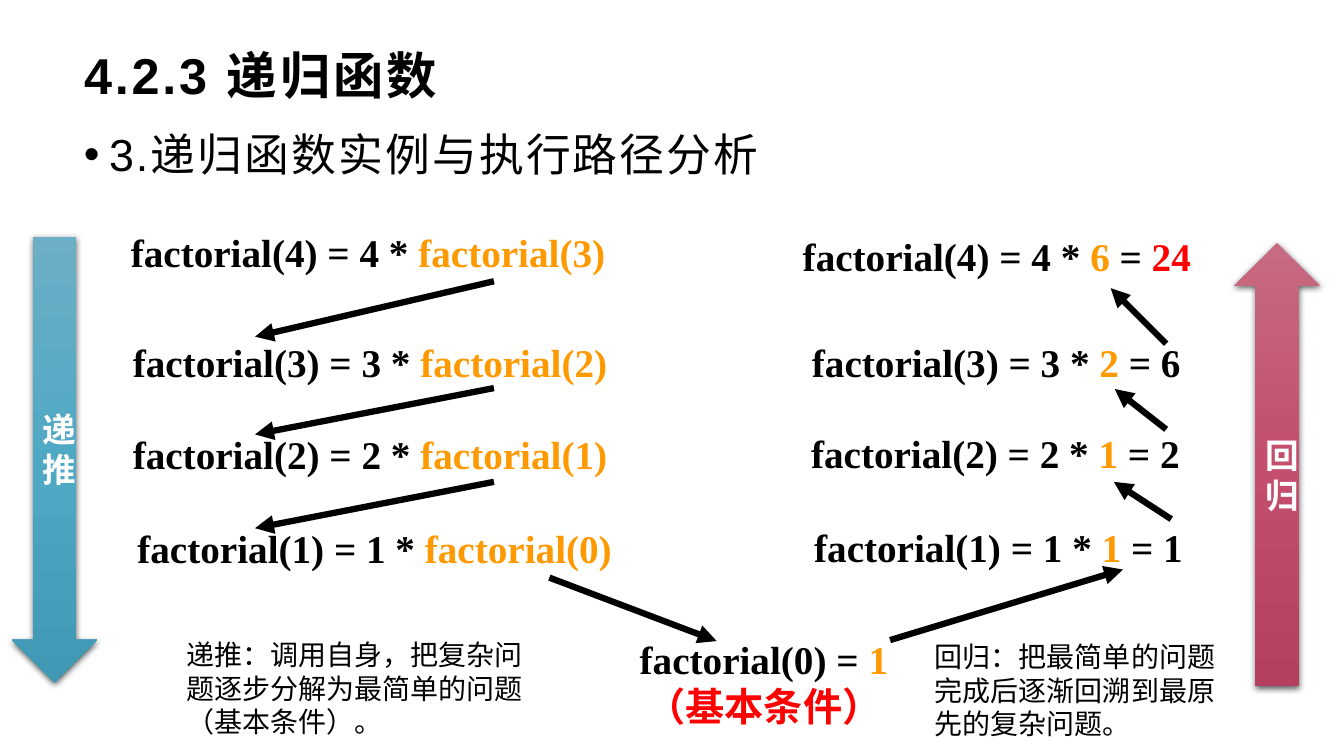
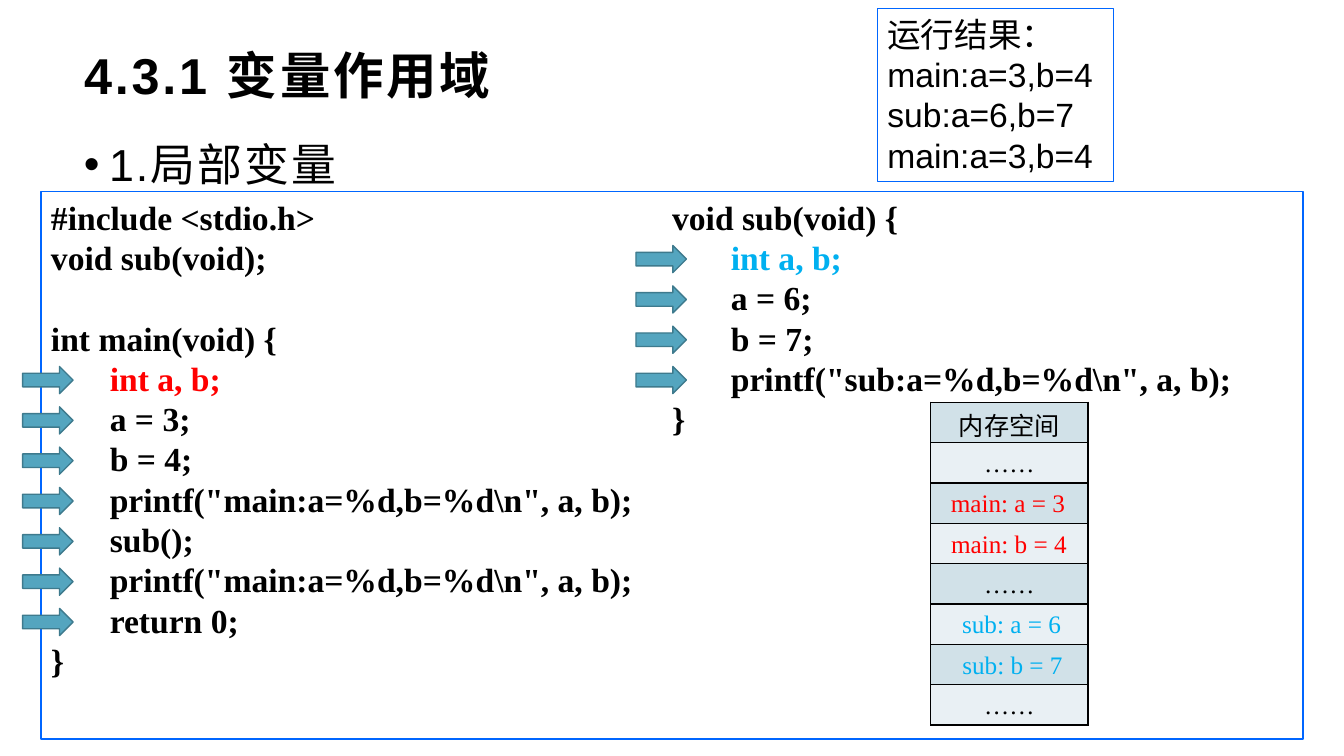
from copy import deepcopy

from pptx import Presentation
from pptx.dml.color import RGBColor
from pptx.enum.lang import MSO_LANGUAGE_ID
from pptx.enum.shapes import MSO_CONNECTOR, MSO_SHAPE
from pptx.enum.text import MSO_ANCHOR, MSO_AUTO_SIZE, PP_ALIGN
from pptx.oxml.ns import qn
from pptx.oxml.xmlchemy import OxmlElement
from pptx.util import Pt

BLACK = RGBColor(0x00, 0x00, 0x00)
WHITE = RGBColor(0xFF, 0xFF, 0xFF)
RED = RGBColor(0xFF, 0x00, 0x00)
ORANGE = RGBColor(0xFF, 0x99, 0x00)
CYAN = RGBColor(0x00, 0xB0, 0xF0)
FRAME_BLUE = RGBColor(0x00, 0x66, 0xFF)
MARKER_FILL = RGBColor(0x54, 0xA5, 0xBF)
MARKER_LINE = RGBColor(0x3E, 0x7A, 0x8D)
BAND_FILLS = (RGBColor(0xD1, 0xE1, 0xE8), RGBColor(0xE9, 0xF0, 0xF4))
TEALS = (RGBColor(0x6C, 0xAF, 0xC6), RGBColor(0x4F, 0xA8, 0xC4), RGBColor(0x40, 0x98, 0xB4))
ROSES = (RGBColor(0xC6, 0x6B, 0x81), RGBColor(0xC3, 0x4E, 0x6E), RGBColor(0xB4, 0x3F, 0x5F))

SERIF, SANS = "Times New Roman", "Arial"
LINE_FACTOR = 1.2

# Slide 1: (centre x, top, coloured pieces of the equation)
EQUATIONS = [
    (262.9, 159.1, [("factorial(4) = 4 * ", BLACK), ("factorial(3)", ORANGE)]),
    (264.3, 238.1, [("factorial(3) = 3 * ", BLACK), ("factorial(2)", ORANGE)]),
    (264.3, 303.6, [("factorial(2) = 2 * ", BLACK), ("factorial(1)", ORANGE)]),
    (267.6, 370.8, [("factorial(1) = 1 * ", BLACK), ("factorial(0)", ORANGE)]),
    (713.2, 370.1, [("factorial(1) = 1 * ", BLACK), ("1", ORANGE), (" = 1", BLACK)]),
    (711, 302.9, [("factorial(2) = 2 * ", BLACK), ("1", ORANGE), (" = 2", BLACK)]),
    (711.6, 238.3, [("factorial(3) = 3 * ", BLACK), ("2", ORANGE), (" = 6", BLACK)]),
    (712, 162.2, [("factorial(4) = 4 * ", BLACK), ("6", ORANGE), (" = ", BLACK), ("24", RED)]),
]
BASE_CASE = [[("factorial(0) = ", BLACK), ("1", ORANGE)], [("（基本条件）", RED)]]
CALL_ARROWS = [  # (from x, from y, to x, to y)
    (352.8, 200.9, 182.2, 240.5),
    (352.8, 277.2, 182.2, 310.3),
    (352.8, 344.2, 182.2, 377.3),
    (392.4, 412.6, 511.9, 457.9),
    (635.8, 457.2, 802.1, 406.8),
    (836.6, 370.8, 795.6, 344.2),
    (833, 306.7, 796.3, 277.9),
    (833, 245.5, 793.4, 205.9),
]
PHASE_ARROWS = [
    ("递推", MSO_SHAPE.DOWN_ARROW, TEALS, (8.3, 169.4, 61.2, 318.2)),
    ("回归", MSO_SHAPE.UP_ARROW, ROSES, (881.5, 173.5, 61.2, 316.8)),
]
PHASE_NOTES = [
    ("递推：调用自身，把复杂问题逐步分解为最简单的问题（基本条件）。", (126, 451.8, 266.4, 80)),
    ("回归：把最简单的问题完成后逐渐回溯到最原先的复杂问题。", (660.6, 453.2, 227.5, 80)),
]

# Slide 2: (indented, text, colour); None leaves one line free
MAIN_CODE = [
    (False, "#include <stdio.h>", BLACK),
    (False, "void sub(void);", BLACK),
    None,
    (False, "int main(void) {", BLACK),
    (True, "int a, b;", RED),
    (True, "a = 3;", BLACK),
    (True, "b = 4;", BLACK),
    (True, 'printf("main:a=%d,b=%d\\n", a, b);', BLACK),
    (True, "sub();", BLACK),
    (True, 'printf("main:a=%d,b=%d\\n", a, b);', BLACK),
    (True, "return 0;", BLACK),
    (False, "}", BLACK),
]
SUB_CODE = [
    (False, "void sub(void) {", BLACK),
    (True, "int a, b;", CYAN),
    (True, "a = 6;", BLACK),
    (True, "b = 7;", BLACK),
    (True, 'printf("sub:a=%d,b=%d\\n", a, b);', BLACK),
    (False, "}", BLACK),
]
RUN_RESULT = ["运行结果：", "main:a=3,b=4", "sub:a=6,b=7", "main:a=3,b=4"]
MEMORY_CELLS = ["内存空间", "……", "", "", "……", "", "", "……"]
MEMORY_VALUES = [  # (table row, centre x, value, colour)
    (2, 720, "main: a = 3", RED),
    (3, 720.7, "main: b = 4", RED),
    (5, 722.5, "sub: a = 6", CYAN),
    (6, 723.2, "sub: b = 7", CYAN),
]

CODE_FRAME = (29.3, 136.8, 901.5, 391)
CODE_SIZE = 24
CODE_LINE = CODE_SIZE * LINE_FACTOR
CODE_INDENT = 42
CODE_COLUMNS = [(MAIN_CODE, 29.3, 16.2), (SUB_CODE, 473, 454.3)]  # text x, marker x


def box(*lengths):
    return [Pt(length) for length in lengths]


def child(parent, tag, **attributes):
    """Append a new XML element to parent."""
    element = OxmlElement(tag)
    for key, value in attributes.items():
        element.set(key, str(value))
    parent.append(element)
    return element


def style_run(run, size, color, font=SERIF, bold=False, tracking=0):
    run.font.size, run.font.name, run.font.bold = Pt(size), font, bold
    run.font.color.rgb = color
    run.font.language_id = MSO_LANGUAGE_ID.SIMPLIFIED_CHINESE
    if tracking:
        run.font._element.set("spc", str(round(tracking * 100)))


def fill_text(frame, lines, size, font=SERIF, bold=False, align=PP_ALIGN.LEFT):
    """Write lines, each a list of (text, colour) pieces."""
    for number, pieces in enumerate(lines):
        paragraph = frame.paragraphs[0] if number == 0 else frame.add_paragraph()
        paragraph.alignment = align
        paragraph.line_spacing = Pt(size * LINE_FACTOR)
        for text, color in pieces:
            run = paragraph.add_run()
            run.text = text
            style_run(run, size, color, font, bold)


def add_text(slide, place, lines, size, wrap=True, anchor=MSO_ANCHOR.TOP, **style):
    frame = slide.shapes.add_textbox(*box(*place)).text_frame
    frame.word_wrap, frame.vertical_anchor = wrap, anchor
    fill_text(frame, lines, size, **style)
    return frame


def add_plain_shape(slide, kind, place, line_color=None, line_width=1):
    """Add an unfilled shape without shadow."""
    shape = slide.shapes.add_shape(kind, *box(*place))
    shape.shadow.inherit = False
    shape.fill.background()
    if line_color is None:
        shape.line.fill.background()
    else:
        shape.line.color.rgb = line_color
        shape.line.width = Pt(line_width)
    return shape


def add_titled_slide(deck, title_text, topic, topic_top):
    slide = deck.slides.add_slide(deck.slide_layouts.get_by_name("Title Only"))
    title = slide.shapes.title
    title.left, title.top, title.width, title.height = box(52.8, 31.7, 854.6, 43.2)
    frame = title.text_frame
    frame.text = title_text
    frame.auto_size, frame.vertical_anchor = MSO_AUTO_SIZE.NONE, MSO_ANCHOR.MIDDLE
    frame.paragraphs[0].alignment = PP_ALIGN.LEFT
    style_run(frame.paragraphs[0].runs[0], 36, BLACK, SANS, True, tracking=2)

    heading = add_text(slide, (52.8, topic_top, 854.6, 60), [[(topic, BLACK)]], 32, font=SANS)
    paragraph = heading.paragraphs[0]
    paragraph.line_spacing, paragraph.space_after = 1.3, Pt(10)
    style_run(paragraph.runs[0], 32, BLACK, SANS, tracking=1.5)
    properties = paragraph._p.get_or_add_pPr()
    properties.set("marL", str(Pt(18)))
    properties.set("indent", str(Pt(-18)))
    child(properties, "a:buFont", typeface=SANS)
    child(properties, "a:buChar", char="•")
    return slide


def add_call_arrow(slide, ends):
    arrow = slide.shapes.add_connector(MSO_CONNECTOR.STRAIGHT, *box(*ends))
    arrow.line.color.rgb, arrow.line.width = BLACK, Pt(4.5)
    child(arrow.line._get_or_add_ln(), "a:tailEnd", type="triangle")
    child(arrow._element.spPr, "a:effectLst")


def add_phase_arrow(slide, label, kind, colors, place):
    arrow = add_plain_shape(slide, kind, place)
    arrow.fill.gradient()
    arrow.fill.gradient_angle = 270
    properties = arrow._element.spPr
    stops = properties.find(".//" + qn("a:gsLst"))
    stops.append(deepcopy(stops[0]))
    for stop, color, position in zip(arrow.fill.gradient_stops, colors, (0, 0.5, 1)):
        stop.color.rgb, stop.position = color, position
    shadow = child(properties.find(qn("a:effectLst")), "a:outerShdw", blurRad=Pt(4.5),
                   dist=Pt(1.5), dir=90 * 60000, rotWithShape=0)
    child(child(shadow, "a:srgbClr", val=BLACK), "a:alpha", val=63000)
    arrow.text_frame.word_wrap = True
    arrow.text_frame.vertical_anchor = MSO_ANCHOR.MIDDLE
    fill_text(arrow.text_frame, [[(label, WHITE)]], 24, bold=True, align=PP_ALIGN.CENTER)


def add_code_column(slide, code, text_left, marker_left):
    """Write one column of code with a marker beside each indented line."""
    top = CODE_FRAME[1]
    lines = [line for line in code if line]
    frame = add_text(slide, (text_left, top, 450, CODE_FRAME[3]),
                     [[(text, color)] for _, text, color in lines], CODE_SIZE, bold=True)
    paragraphs = iter(frame.paragraphs)
    gap = 0
    for row, line in enumerate(code):
        if line is None:
            gap += CODE_LINE
            continue
        paragraph = next(paragraphs)
        paragraph.space_before, gap = Pt(gap), 0
        if line[0]:
            paragraph._p.get_or_add_pPr().set("marL", str(Pt(CODE_INDENT)))
            marker = add_plain_shape(slide, MSO_SHAPE.RIGHT_ARROW,
                                     (marker_left, top + 9.8 + row * CODE_LINE, 36, 19.4),
                                     MARKER_LINE)
            marker.fill.solid()
            marker.fill.fore_color.rgb = MARKER_FILL


def add_memory_table(slide):
    top, row_height, value_width = 287.3, 28.8, 101.5
    table = slide.shapes.add_table(
        len(MEMORY_CELLS), 1, *box(664.8, top, 112.3, row_height * len(MEMORY_CELLS))).table
    table.first_row = table.horz_banding = False
    for row, text in enumerate(MEMORY_CELLS):
        cell = table.cell(row, 0)
        if text:
            fill_text(cell.text_frame, [[(text, BLACK)]], 18, align=PP_ALIGN.CENTER)
        properties = cell._tc.get_or_add_tcPr()
        for side in "LRTB":
            border = child(properties, "a:ln" + side, w=Pt(1))
            child(child(border, "a:solidFill"), "a:srgbClr", val=BLACK)
        cell.fill.solid()
        cell.fill.fore_color.rgb = BAND_FILLS[row % 2]
    header = table.cell(0, 0)
    header.margin_top, header.margin_bottom = Pt(7.2), Pt(0)
    for row, center, value, color in MEMORY_VALUES:
        add_text(slide, (center - value_width / 2, top + row * row_height, value_width, row_height),
                 [[(value, color)]], 18, wrap=False, align=PP_ALIGN.CENTER)


def build_recursion(deck):
    slide = add_titled_slide(deck, "4.2.3 递归函数", "3.递归函数实例与执行路径分析", 75.4)
    equation_style = dict(size=28, wrap=False, anchor=MSO_ANCHOR.MIDDLE,
                          bold=True, align=PP_ALIGN.CENTER)
    width = 357
    for center, top, pieces in EQUATIONS:
        add_text(slide, (center - width / 2, top, width, 41), [pieces], **equation_style)
    add_text(slide, (448.8, 450, 193.7, 74.9), BASE_CASE, **equation_style)
    for ends in CALL_ARROWS:
        add_call_arrow(slide, ends)
    for phase in PHASE_ARROWS:
        add_phase_arrow(slide, *phase)
    for note, place in PHASE_NOTES:
        add_text(slide, place, [[(note, BLACK)]], 20)


def build_scope(deck):
    slide = add_titled_slide(deck, "4.3.1 变量作用域", "1.局部变量", 82.6)
    add_plain_shape(slide, MSO_SHAPE.RECTANGLE, CODE_FRAME, FRAME_BLUE, 1.25)
    for column in CODE_COLUMNS:
        add_code_column(slide, *column)
    result = add_plain_shape(slide, MSO_SHAPE.RECTANGLE, (626.8, 6.1, 168.5, 123.8),
                             FRAME_BLUE, 0.75)
    result.text_frame.vertical_anchor = MSO_ANCHOR.TOP
    fill_text(result.text_frame, [[(line, BLACK)] for line in RUN_RESULT], 24, font=SANS)
    add_memory_table(slide)


def main():
    deck = Presentation()
    deck.slide_width, deck.slide_height = Pt(960), Pt(540)
    build_recursion(deck)
    build_scope(deck)
    deck.save("out.pptx")


if __name__ == "__main__":
    main()
